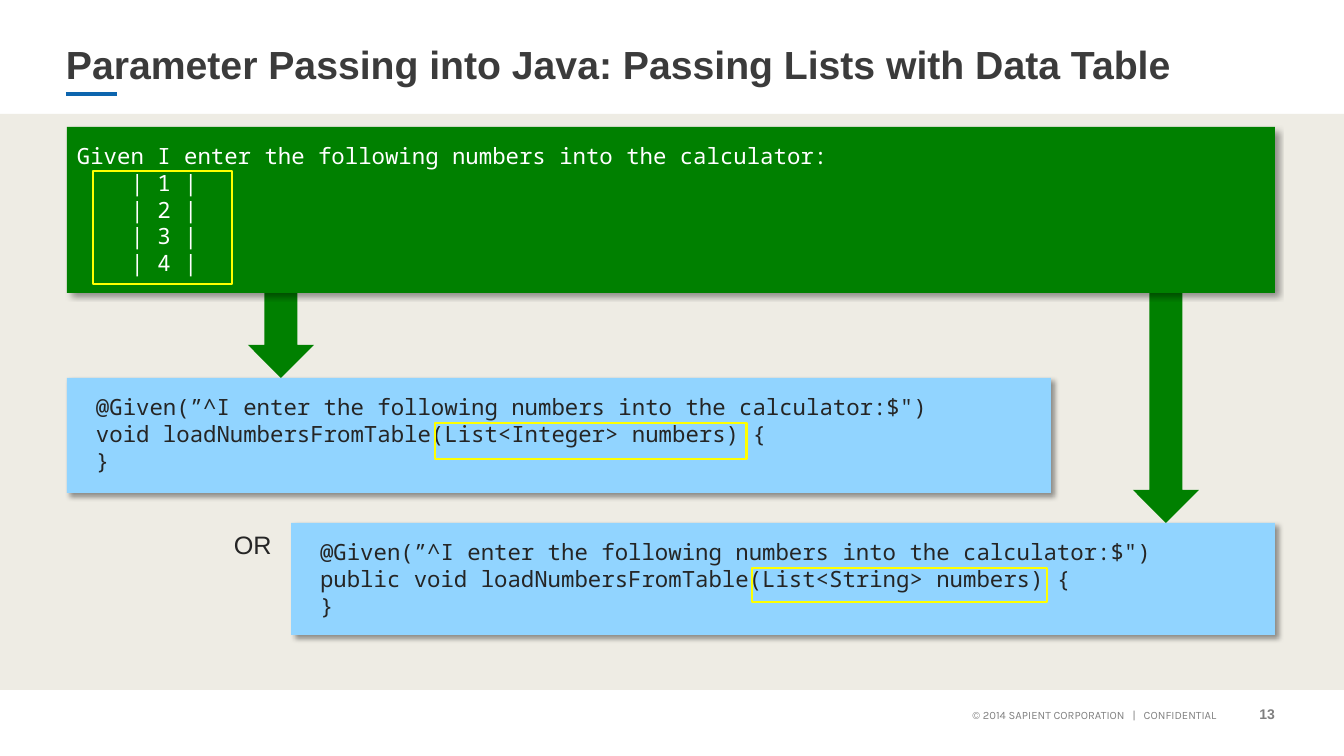
from dataclasses import dataclass

from lxml.etree import SubElement
from pptx import Presentation
from pptx.dml.color import RGBColor
from pptx.enum.shapes import MSO_CONNECTOR, MSO_SHAPE
from pptx.enum.text import MSO_ANCHOR, PP_ALIGN
from pptx.oxml.ns import qn
from pptx.util import Emu, Pt

TITLE = "Parameter Passing into Java: Passing Lists with Data Table"
COPYRIGHT = "© 2014 SAPIENT CORPORATION   |   CONFIDENTIAL"
PAGE = "13"
ALTERNATIVE = "OR"

FEATURE = {
    "box": (67, 127, 1208, 166),
    "mark": (93, 171, 139, 113),
    "lines": ["Given I enter the following numbers into the calculator:"]
    + [f"    | {n} |" for n in range(1, 5)],
}
STEPS = [
    {
        "box": (67, 378, 984, 115),
        "mark": (435, 423, 312, 36),
        "arrow_x": 248,
        "lines": [
            "@Given(”^I enter the following numbers into the calculator:$\")",
            "void loadNumbersFromTable(List<Integer> numbers) {",
            "}",
        ],
    },
    {
        "box": (291, 523, 984, 112),
        "mark": (752, 568, 295, 34),
        "arrow_x": 1133,
        "lines": [
            "@Given(”^I enter the following numbers into the calculator:$\")",
            "public void loadNumbersFromTable(List<String> numbers) {",
            "}",
        ],
    },
]
ARROW_TOP, ARROW_W = 225, 66
CODE_INDENT = 19


@dataclass(frozen=True)
class Theme:
    sans: str = "Arial"
    footer_font: str = "Karla"
    mono: str = "Noto Sans Mono"
    title: str = "3B3B3B"
    text: str = "252525"
    white: str = "FFFFFF"
    footer: str = "808080"
    page: str = "7F7F7F"
    accent: str = "0D65AE"
    panel: str = "EEECE4"
    green: str = "008000"
    blue: str = "91D4FF"
    yellow: str = "FFFF00"
    title_size: int = 28
    label_size: int = 18
    code_size: int = 16
    page_size: int = 10
    footer_size: int = 8


T = Theme()


def px(n):
    return Emu(round(n * 914400 / 100.8))


def rgb(color):
    return RGBColor.from_string(color)


def write(sp, lines, *, size, color, font=T.sans, bold=False, align=PP_ALIGN.LEFT,
          anchor=MSO_ANCHOR.TOP, inset=(10, 5), indent=0, wrap=True):
    tf = sp.text_frame
    tf.word_wrap = wrap
    tf.vertical_anchor = anchor
    tf.margin_left = tf.margin_right = px(inset[0])
    tf.margin_top = tf.margin_bottom = px(inset[1])
    for i, line in enumerate(lines):
        p = tf.add_paragraph() if i else tf.paragraphs[0]
        p.alignment = align
        if indent:
            pPr = p._p.get_or_add_pPr()
            pPr.set("marL", str(px(indent)))
            pPr.set("indent", "0")
        r = p.add_run()
        r.text = line
        r.font.name, r.font.size, r.font.bold = font, Pt(size), bold
        r.font.color.rgb = rgb(color)


def add_text(s, box, text, **fmt):
    write(s.shapes.add_textbox(*map(px, box)), [text], **fmt)


def add_block(s, kind, box, fill=None, line=None):
    sp = s.shapes.add_shape(kind, *map(px, box))
    sp.shadow.inherit = False
    if fill:
        sp.fill.solid()
        sp.fill.fore_color.rgb = rgb(fill)
    else:
        sp.fill.background()
    if line:
        sp.line.color.rgb = rgb(line)
        sp.line.width = Pt(2)
    else:
        sp.line.fill.background()
    return sp


def add_shadow(sp):
    effects = sp._element.spPr.find(qn("a:effectLst"))
    shadow = SubElement(effects, qn("a:outerShdw"), blurRad=str(Pt(4)), dist=str(Pt(3)),
                        dir="2700000", algn="tl", rotWithShape="0")
    color = SubElement(shadow, qn("a:srgbClr"), val="000000")
    SubElement(color, qn("a:alpha"), val="40000")


def add_code(s, item, fill, color, indent=0):
    sp = add_block(s, MSO_SHAPE.RECTANGLE, item["box"], fill)
    add_shadow(sp)
    write(sp, item["lines"], size=T.code_size, color=color, font=T.mono,
          inset=(10, 15), indent=indent)
    add_block(s, MSO_SHAPE.RECTANGLE, item["mark"], line=T.yellow)


def main():
    prs = Presentation()
    prs.slide_width, prs.slide_height = px(1344), px(756)
    s = prs.slides.add_slide(prs.slide_layouts[6])

    add_text(s, (831, 703, 396, 24), COPYRIGHT, size=T.footer_size, color=T.footer,
             font=T.footer_font, align=PP_ALIGN.RIGHT)
    add_text(s, (1230, 696, 45, 35), PAGE, size=T.page_size, color=T.page, bold=True,
             align=PP_ALIGN.RIGHT, anchor=MSO_ANCHOR.MIDDLE, inset=(0, 0))
    accent = s.shapes.add_connector(MSO_CONNECTOR.STRAIGHT, px(66), px(94), px(117), px(94))
    accent.line.color.rgb = rgb(T.accent)
    accent.line.width = Pt(2.75)
    SubElement(accent._element.spPr, qn("a:effectLst"))

    add_block(s, MSO_SHAPE.RECTANGLE, (0, 114, 1344, 576), T.panel)
    for step in STEPS:
        drop = step["box"][1] - ARROW_TOP
        add_block(s, MSO_SHAPE.DOWN_ARROW, (step["arrow_x"], ARROW_TOP, ARROW_W, drop), T.green)

    add_text(s, (66, 30, 1210, 62), TITLE, size=T.title_size, color=T.title, bold=True,
             anchor=MSO_ANCHOR.BOTTOM, inset=(0, 5))
    add_text(s, (224, 524, 58, 40), ALTERNATIVE, size=T.label_size, color=T.text, wrap=False)

    add_code(s, FEATURE, T.green, T.white)
    for step in STEPS:
        add_code(s, step, T.blue, T.text, CODE_INDENT)

    prs.save("out.pptx")


if __name__ == "__main__":
    main()
